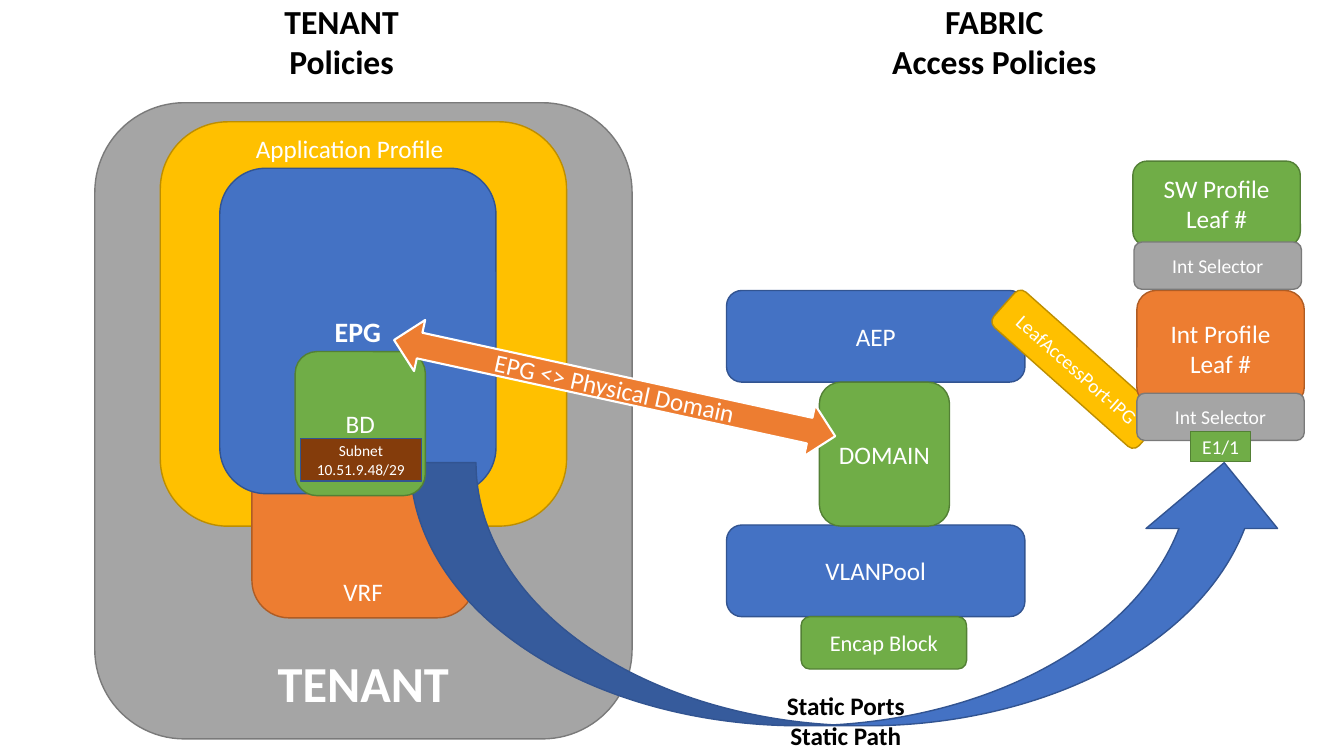
"""Builds the slide that maps tenant policies to fabric access policies."""
from pptx import Presentation
from pptx.dml.color import RGBColor
from pptx.enum.shapes import MSO_SHAPE
from pptx.enum.text import MSO_ANCHOR, PP_ALIGN
from pptx.util import Cm, Pt

ROUNDED = MSO_SHAPE.ROUNDED_RECTANGLE
RECTANGLE = MSO_SHAPE.RECTANGLE
CURVED_ARROW = MSO_SHAPE.CURVED_UP_ARROW
DOUBLE_ARROW = MSO_SHAPE.LEFT_RIGHT_ARROW
CENTER = PP_ALIGN.CENTER
LEFT = PP_ALIGN.LEFT
MIDDLE = MSO_ANCHOR.MIDDLE
BOTTOM = MSO_ANCHOR.BOTTOM

WHITE = RGBColor(0xFF, 0xFF, 0xFF)
BLACK = RGBColor(0x00, 0x00, 0x00)
GRAY = RGBColor(0xA5, 0xA5, 0xA5)
GOLD = RGBColor(0xFF, 0xC0, 0x00)
ORANGE = RGBColor(0xED, 0x7D, 0x31)
BLUE = RGBColor(0x44, 0x72, 0xC4)
GREEN = RGBColor(0x70, 0xAD, 0x47)
BROWN = RGBColor(0x84, 0x3C, 0x0B)
DARK_BLUE = RGBColor(0x32, 0x54, 0x91)
OUTLINES = {
    GRAY: RGBColor(0x7A, 0x7A, 0x7A),
    GOLD: RGBColor(0xBD, 0x8E, 0x00),
    ORANGE: RGBColor(0xAF, 0x5C, 0x24),
    BLUE: DARK_BLUE,
    GREEN: RGBColor(0x53, 0x80, 0x35),
    BROWN: DARK_BLUE,
}

prs = Presentation()
prs.slide_width = Cm(33.87)
prs.slide_height = Cm(19.05)
slide = prs.slides.add_slide(prs.slide_layouts[6])


def write(frame, text, size, color=WHITE, bold=False, align=CENTER):
    frame.text = text
    paragraph = frame.paragraphs[0]
    paragraph.alignment = align
    paragraph.font.name = "Calibri"
    paragraph.font.size = Pt(size)
    paragraph.font.bold = bold
    paragraph.font.color.rgb = color


def add_block(preset, fill, box, text="", size=18, bold=False, anchor=MIDDLE):
    block = slide.shapes.add_shape(preset, *map(Cm, box))
    block.shadow.inherit = False
    block.fill.solid()
    block.fill.fore_color.rgb = fill
    block.line.color.rgb = OUTLINES[fill]
    block.line.width = Pt(1)
    if text:
        frame = block.text_frame
        frame.word_wrap = True
        frame.vertical_anchor = anchor
        if anchor == BOTTOM:
            frame.margin_bottom = 0
        write(frame, text, size, bold=bold)
    return block


add_block(ROUNDED, GRAY, (2.39, 2.59, 13.54, 16.03), "TENANT", 36, True, BOTTOM)
add_block(ROUNDED, GOLD, (4.04, 3.07, 10.24, 10.19))
add_block(ROUNDED, ORANGE, (6.35, 8.76, 5.61, 6.81), "VRF", anchor=BOTTOM)
add_block(ROUNDED, BLUE, (5.54, 4.24, 6.96, 8.2), "EPG", 20, True)

for text, top in (("AEP", 7.32), ("VLANPool", 13.23)):
    add_block(ROUNDED, BLUE, (18.31, top, 7.52, 2.31), text)
add_block(ROUNDED, GREEN, (20.65, 9.63, 3.28, 3.63), "DOMAIN")
add_block(ROUNDED, GREEN, (20.19, 15.54, 4.17, 1.32), "Encap Block", 16)

add_block(CURVED_ARROW, BLUE, (10.34, 11.66, 22.17, 6.63))
add_block(ROUNDED, GREEN, (7.44, 8.86, 3.28, 3.63), "BD")
policy_group = add_block(ROUNDED, GOLD, (24.69, 8.71, 4.9, 1.19), "LeafAccessPort-IPG", 14)
policy_group.rotation = 41.7

add_block(ROUNDED, ORANGE, (28.65, 7.32, 4.22, 2.92), "Int Profile\vLeaf #")
add_block(ROUNDED, GRAY, (28.65, 9.91, 4.22, 1.19), "Int Selector", 14)
add_block(RECTANGLE, GREEN, (30, 10.87, 1.52, 0.76), "E1/1", 14)
add_block(ROUNDED, GREEN, (28.55, 4.06, 4.22, 2.13), "SW Profile\vLeaf #")
add_block(ROUNDED, GRAY, (28.58, 6.1, 4.22, 1.19), "Int Selector", 14)

domain_link = add_block(DOUBLE_ARROW, ORANGE, (9.8, 9.12, 11.38, 1.32), "EPG <> Physical Domain")
domain_link.rotation = 12.3
domain_link.line.color.rgb = WHITE
domain_link.line.width = Pt(1.5)
add_block(RECTANGLE, BROWN, (7.57, 11.05, 3.05, 1.07), "Subnet 10.51.9.48/29", 11)

captions = [
    ("Application Profile", (6.2, 3.23, 5.31, 1.02), 18, WHITE, False, LEFT),
    ("FABRIC\vAccess Policies", (22.2, -0.1, 5.72, 2.31), 24, BLACK, True, CENTER),
    ("TENANT\vPolicies", (6.91, -0.1, 3.4, 2.31), 24, BLACK, True, CENTER),
    ("Static Ports\vStatic Path", (19.56, 17.27, 3.51, 1.8), 18, BLACK, True, CENTER),
]
for text, box, size, color, bold, align in captions:
    caption = slide.shapes.add_textbox(*map(Cm, box))
    caption.text_frame.word_wrap = False
    write(caption.text_frame, text, size, color, bold, align)

prs.save("out.pptx")
